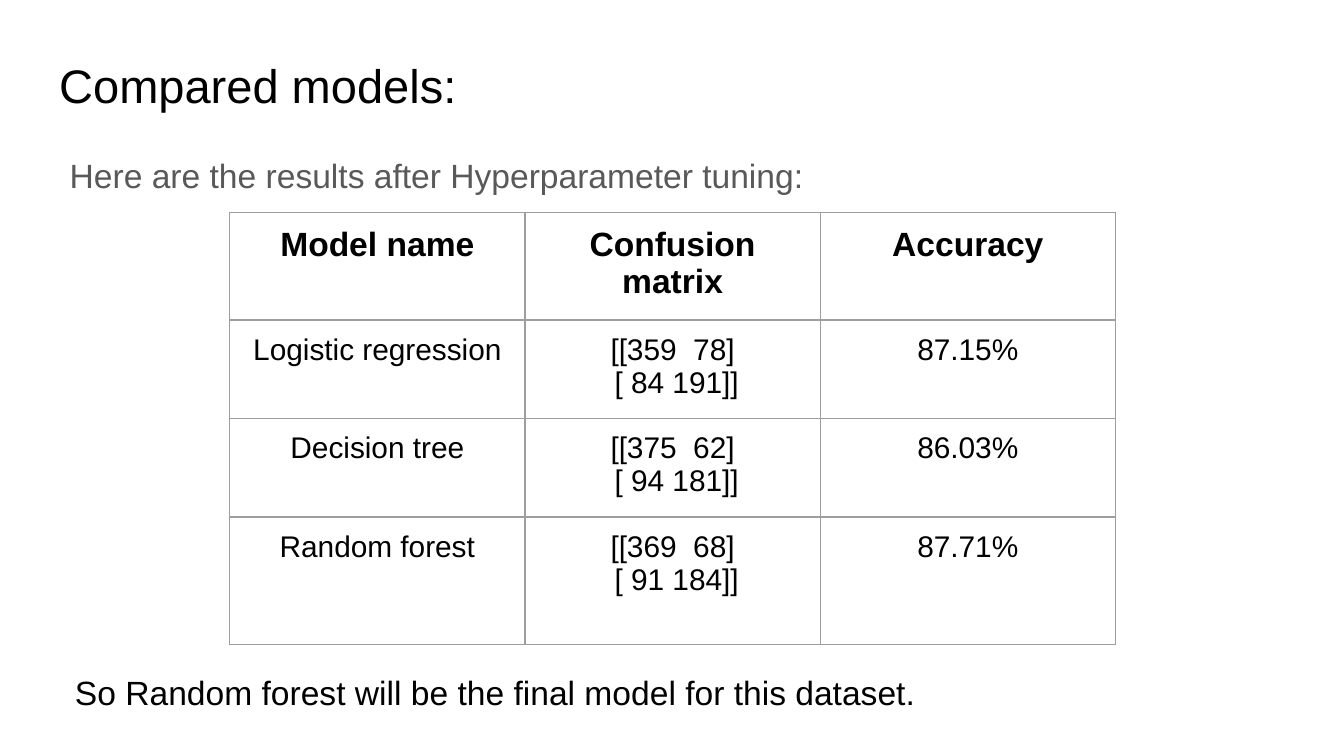
from lxml import etree
from pptx import Presentation
from pptx.dml.color import RGBColor
from pptx.enum import text
from pptx.oxml import ns
from pptx.util import Inches, Pt

BLACK = RGBColor(0x00, 0x00, 0x00)
GRAY = RGBColor(0x59, 0x59, 0x59)
BORDER = RGBColor(0x9E, 0x9E, 0x9E)
MARGIN = Inches(0.1)


def format_text(holder, frame, size, color, bold=False, align=text.PP_ALIGN.LEFT):
    holder.vertical_anchor = text.MSO_ANCHOR.TOP
    holder.margin_left = holder.margin_right = MARGIN
    holder.margin_top = holder.margin_bottom = MARGIN
    for paragraph in frame.paragraphs:
        paragraph.alignment = align
        for run in paragraph.runs:
            run.font.name = "Arial"
            run.font.size = Pt(size)
            run.font.bold = bold
            run.font.color.rgb = color


def add_borders(cell):
    properties = cell._tc.get_or_add_tcPr()
    for side in ("a:lnL", "a:lnR", "a:lnT", "a:lnB"):
        line = etree.SubElement(properties, ns.qn(side), w=str(Pt(0.75)))
        fill = etree.SubElement(line, ns.qn("a:solidFill"))
        etree.SubElement(fill, ns.qn("a:srgbClr"), val=str(BORDER))


deck = Presentation()
deck.slide_width = Inches(10)
deck.slide_height = Inches(10 * 9 / 16)
slide = deck.slides.add_slide(deck.slide_layouts[5])

title = slide.shapes.title
title.left, title.top = Inches(0.34), Inches(0.32)
title.width, title.height = Inches(9.32), Inches(0.63)
heading = title.text_frame
heading.text = "Compared models:"
heading.word_wrap = True
heading.auto_size = text.MSO_AUTO_SIZE.NONE
format_text(heading, heading, 25.2, BLACK)

intro = slide.shapes.add_textbox(
    Inches(0.42), Inches(1.01), Inches(9.32), Inches(0.57)).text_frame
intro.text = "Here are the results after Hyperparameter tuning:"
intro.word_wrap = True
format_text(intro, intro, 18, GRAY)
intro.paragraphs[0].line_spacing = 1.15
intro.paragraphs[0].space_after = Pt(12)

results = [
    ("Model name", "Confusion matrix", "Accuracy"),
    ("Logistic regression", "[[359  78]\n [ 84 191]]", "87.15%"),
    ("Decision tree", "[[375  62]\n [ 94 181]]", "86.03%"),
    ("Random forest", "[[369  68]\n [ 91 184]]", "87.71%"),
]
row_heights = [0.67, 0.7, 0.7, 0.95]
table_width = 6.59

comparison = slide.shapes.add_table(
    len(results), 3, Inches(1.71), Inches(1.58),
    Inches(table_width), Inches(sum(row_heights))).table
comparison.first_row = False
comparison.horz_banding = False
for column in comparison.columns:
    column.width = Inches(table_width / 3)

for row_index, (values, height) in enumerate(zip(results, row_heights)):
    comparison.rows[row_index].height = Inches(height)
    is_header = row_index == 0
    for column_index, value in enumerate(values):
        cell = comparison.cell(row_index, column_index)
        cell.text_frame.text = value
        format_text(cell, cell.text_frame, 18 if is_header else 16, BLACK,
                    is_header, text.PP_ALIGN.CENTER)
        add_borders(cell)
        cell.fill.background()

conclusion = slide.shapes.add_textbox(
    Inches(0.46), Inches(4.9), Inches(8.7), Inches(0.5)).text_frame
conclusion.text = "So Random forest will be the final model for this dataset."
conclusion.word_wrap = True
conclusion.auto_size = text.MSO_AUTO_SIZE.SHAPE_TO_FIT_TEXT
format_text(conclusion, conclusion, 18, BLACK)

deck.save("out.pptx")
